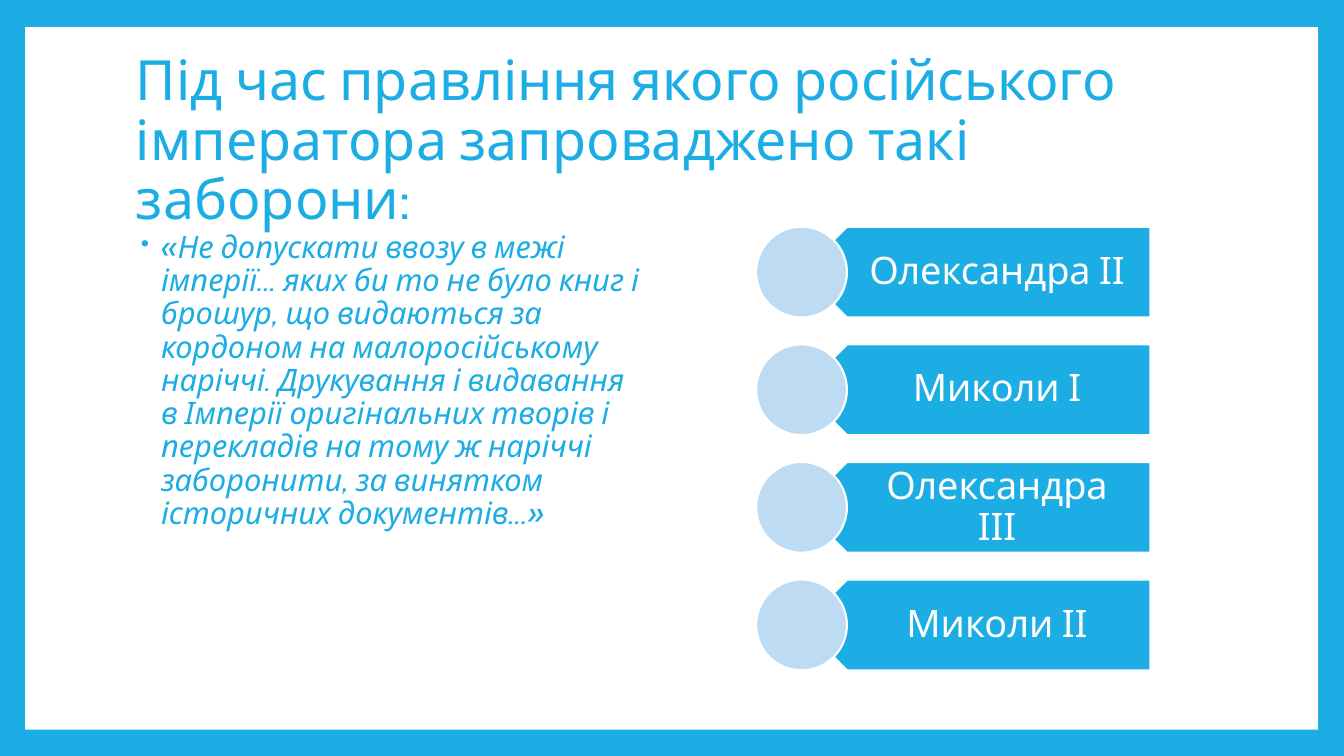
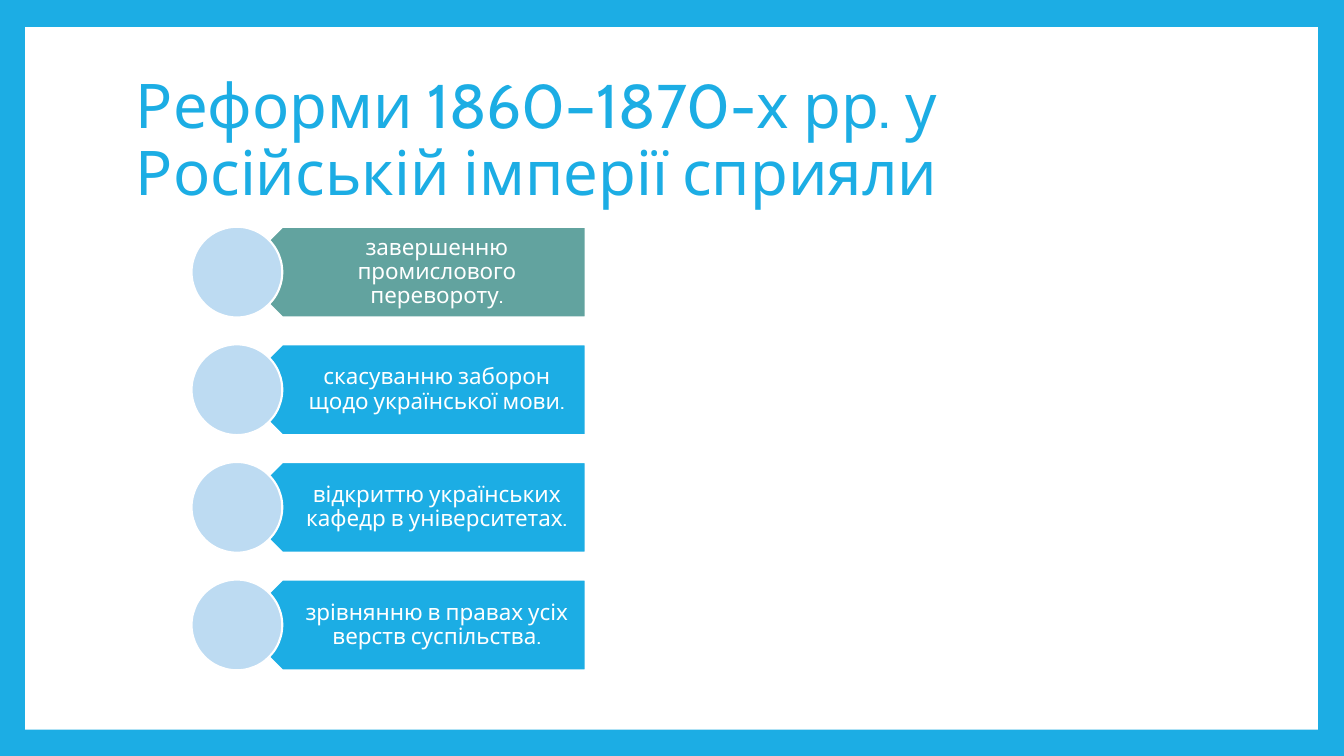
import pptx
import pptx.dml.color
import pptx.enum.shapes
import pptx.enum.text
import pptx.oxml.ns
import pptx.util
from lxml import etree

Inches, Pt = pptx.util.Inches, pptx.util.Pt
RGBColor = pptx.dml.color.RGBColor
SHAPE = pptx.enum.shapes.MSO_SHAPE
ALIGN = pptx.enum.text.PP_ALIGN
ANCHOR = pptx.enum.text.MSO_ANCHOR

BLUE = RGBColor(0x1C, 0xAD, 0xE4)
PALE_BLUE = RGBColor(0xBD, 0xDB, 0xF2)
TEAL = RGBColor(0x62, 0xA3, 0x9F)
WHITE = RGBColor(0xFF, 0xFF, 0xFF)
FONT = "Cabin"

CONTENT_TOP, CONTENT_HEIGHT = 2.25, 4.4
ANSWER_HEIGHT = 0.9
ARROW_WIDTH = 3.46

QUESTIONS = [
    {
        "title": "Під час правління якого російського імператора запроваджено такі заборони:",
        "title_size": 39.6,
        "quote": "«Не допускати ввозу в межі імперії... яких би то не було книг і брошур, "
                 "що видаються за кордоном на малоросійському наріччі. Друкування і "
                 "видавання в Імперії оригінальних творів і перекладів на тому ж наріччі "
                 "заборонити, за винятком історичних документів...»",
        "answers": ["Олександра ІІ", "Миколи І", "Олександра ІІІ", "Миколи ІІ"],
        "answers_left": 7.5,
        "answer_size": 27,
        "answer_insets": (0.4, 0.11, 0.21, 0.11),
    },
    {
        "title": "Реформи 1860–1870-х рр. у Російській імперії сприяли",
        "title_size": 44,
        "answers": [
            "завершенню промислового перевороту.",
            "скасуванню заборон щодо української мови.",
            "відкриттю українських кафедр в університетах.",
            "зрівнянню в правах усіх верств суспільства.",
        ],
        "highlighted": 0,
        "answers_left": 1.9,
        "answer_size": 16,
        "answer_insets": (0.4, 0.07, 0.12, 0.07),
    },
]


def add_filled(slide, preset, box, color, outline=None):
    shape = slide.shapes.add_shape(preset, *map(Inches, box))
    shape.shadow.inherit = False
    shape.fill.solid()
    shape.fill.fore_color.rgb = color
    if outline is None:
        shape.line.fill.background()
    else:
        shape.line.color.rgb = outline
        shape.line.width = Pt(1.5)
    return shape


def add_text(slide, box, text, size, color, anchor=ANCHOR.MIDDLE,
             insets=(0.1, 0.05, 0.1, 0.05), align=ALIGN.LEFT, bullet=False, italic=False):
    frame = slide.shapes.add_textbox(*map(Inches, box)).text_frame
    frame.word_wrap = True
    frame.vertical_anchor = anchor
    (frame.margin_left, frame.margin_top,
     frame.margin_right, frame.margin_bottom) = map(Inches, insets)
    paragraph = frame.paragraphs[0]
    paragraph.text = text
    if bullet:
        add_bullet(paragraph, color)
    paragraph.alignment = align
    paragraph.line_spacing = 0.9
    paragraph.font.name = FONT
    paragraph.font.size = Pt(size)
    paragraph.font.italic = italic
    paragraph.font.color.rgb = color


def add_bullet(paragraph, color):
    qn = pptx.oxml.ns.qn
    properties = paragraph._p.get_or_add_pPr()
    properties.set("marL", str(Inches(0.25)))
    properties.set("indent", str(Inches(-0.2)))
    bullet_color = etree.SubElement(properties, qn("a:buClr"))
    etree.SubElement(bullet_color, qn("a:srgbClr"), val=str(color))
    etree.SubElement(properties, qn("a:buSzPct"), val="80000")
    etree.SubElement(properties, qn("a:buChar"), char="•")


def add_answers(slide, question):
    """Stack arrows pointing left into circles, evenly over the content height."""
    left, answers = question["answers_left"], question["answers"]
    pitch = (CONTENT_HEIGHT - ANSWER_HEIGHT) / (len(answers) - 1)
    arrow_left = left + ANSWER_HEIGHT / 2
    text_inset = ANSWER_HEIGHT / 4
    for index, answer in enumerate(answers):
        top = CONTENT_TOP + index * pitch
        color = TEAL if index == question.get("highlighted") else BLUE
        arrow = add_filled(slide, SHAPE.PENTAGON,
                           (arrow_left, top, ARROW_WIDTH, ANSWER_HEIGHT), color, WHITE)
        arrow.rotation = 180
        add_text(slide, (arrow_left + text_inset, top, ARROW_WIDTH - text_inset, ANSWER_HEIGHT),
                 answer, question["answer_size"], WHITE,
                 insets=question["answer_insets"], align=ALIGN.CENTER)
        add_filled(slide, SHAPE.OVAL, (left, top, ANSWER_HEIGHT, ANSWER_HEIGHT),
                   PALE_BLUE, WHITE)


def add_question(deck, question):
    slide = deck.slides.add_slide(deck.slide_layouts[6])
    slide.background.fill.solid()
    slide.background.fill.fore_color.rgb = BLUE
    add_filled(slide, SHAPE.RECTANGLE, (0.25, 0.27, 12.82, 6.97), WHITE)
    add_text(slide, (1.25, 0.67, 10.8, 1.48), question["title"], question["title_size"], BLUE)
    if "quote" in question:
        add_text(slide, (1.25, CONTENT_TOP, 5.2, CONTENT_HEIGHT), question["quote"], 22, BLUE,
                 anchor=ANCHOR.TOP, bullet=True, italic=True)
    add_answers(slide, question)


def main():
    deck = pptx.Presentation()
    deck.slide_width, deck.slide_height = Inches(13.33), Inches(7.5)
    for question in QUESTIONS:
        add_question(deck, question)
    deck.save("out.pptx")


if __name__ == "__main__":
    main()
